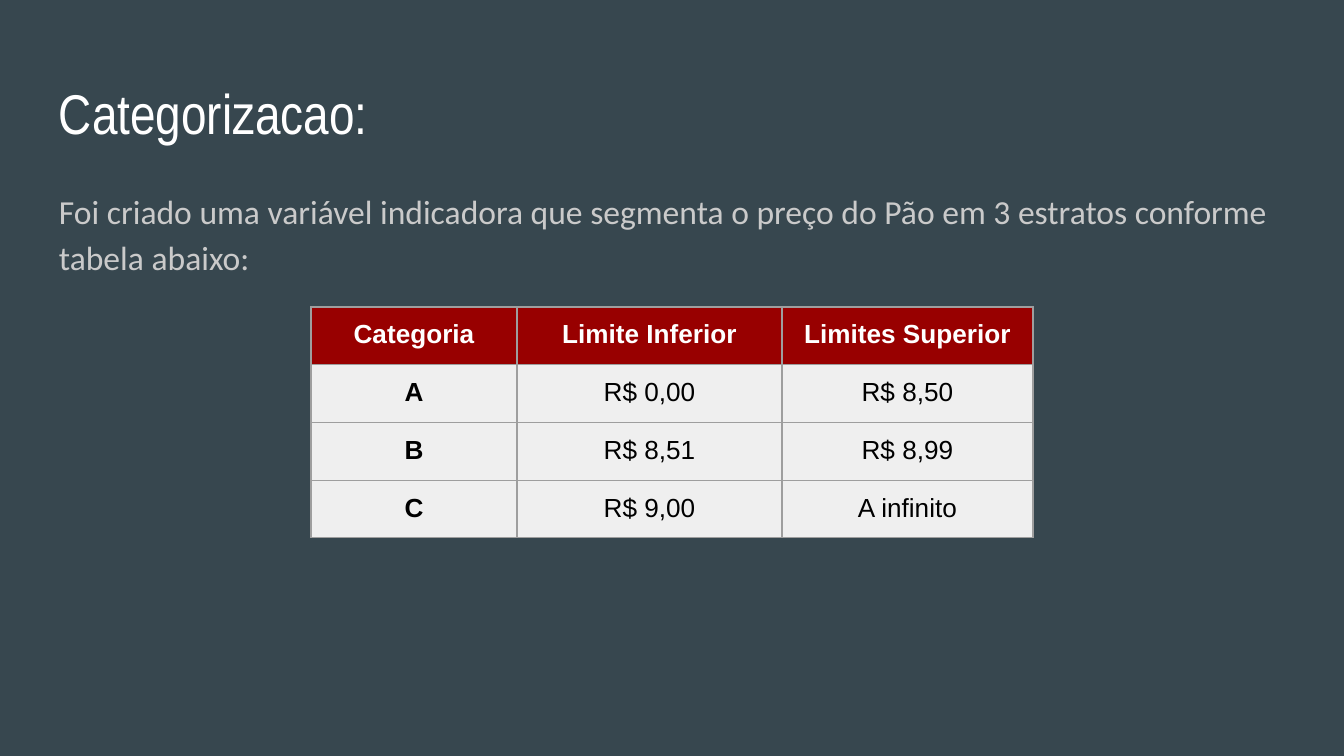
from lxml import etree
from pptx import Presentation
from pptx.dml.color import RGBColor
from pptx.enum.text import MSO_ANCHOR, PP_ALIGN
from pptx.oxml.ns import qn
from pptx.util import Emu, Pt

CENTER = PP_ALIGN.CENTER
TOP = MSO_ANCHOR.TOP

SLATE = RGBColor(0x37, 0x47, 0x4F)
WHITE = RGBColor(0xFF, 0xFF, 0xFF)
BLACK = RGBColor(0, 0, 0)
SILVER = RGBColor(0xCA, 0xCA, 0xCA)
DARK_RED = RGBColor(0x98, 0, 0)
PALE_GRAY = RGBColor(0xEF, 0xEF, 0xEF)
BORDER_GRAY = RGBColor(0x9E, 0x9E, 0x9E)

PX_PER_INCH = 134.4
INSET = 13

HEADINGS = ("Categoria", "Limite Inferior", "Limites Superior")
STRATA = (
    ("A", "R$ 0,00", "R$ 8,50"),
    ("B", "R$ 8,51", "R$ 8,99"),
    ("C", "R$ 9,00", "A infinito"),
)
COLUMN_WIDTHS = (206, 265, 251)
ROW_HEIGHTS = (56, 58, 58, 56)


def px(length):
    """Turn a length in px into EMU."""
    return Emu(round(length * 914400 / PX_PER_INCH))


def set_insets(target):
    """Give a text frame or a cell the same inset on every side."""
    target.margin_left = target.margin_right = px(INSET)
    target.margin_top = target.margin_bottom = px(INSET)


def style_runs(paragraph, font_name, size, color, bold=False):
    """Format all runs of a paragraph."""
    for run in paragraph.runs:
        run.font.name = font_name
        run.font.size = Pt(size)
        run.font.color.rgb = color
        run.font.bold = bold


def add_text(slide, box, text, font_name, size, color, line_spacing=1.0):
    """Place a wrapped, left-aligned paragraph in a box."""
    frame = slide.shapes.add_textbox(*map(px, box)).text_frame
    frame.word_wrap = True
    frame.vertical_anchor = TOP
    set_insets(frame)
    frame.text = text
    paragraph = frame.paragraphs[0]
    paragraph.line_spacing = line_spacing
    style_runs(paragraph, font_name, size, color)


def add_borders(cell):
    """Draw a thin gray line on each side of a cell."""
    properties = cell._tc.get_or_add_tcPr()
    for index, side in enumerate(("a:lnL", "a:lnR", "a:lnT", "a:lnB")):
        line = etree.Element(qn(side), w=str(Pt(0.75)))
        fill = etree.SubElement(line, qn("a:solidFill"))
        etree.SubElement(fill, qn("a:srgbClr"), val=str(BORDER_GRAY))
        properties.insert(index, line)


def fill_cell(cell, text, is_heading, is_bold):
    """Write and style one table cell."""
    set_insets(cell)
    cell.vertical_anchor = TOP
    cell.fill.solid()
    cell.fill.fore_color.rgb = DARK_RED if is_heading else PALE_GRAY
    cell.text_frame.text = text
    paragraph = cell.text_frame.paragraphs[0]
    paragraph.alignment = CENTER
    style_runs(paragraph, "Arial", 14, WHITE if is_heading else BLACK, is_bold)
    add_borders(cell)


def add_strata_table(slide, left, top):
    """Place the table of price strata."""
    contents = (HEADINGS, *STRATA)
    box = (left, top, sum(COLUMN_WIDTHS), sum(ROW_HEIGHTS))
    table = slide.shapes.add_table(
        len(contents), len(HEADINGS), *map(px, box)
    ).table
    for column, width in zip(table.columns, COLUMN_WIDTHS):
        column.width = px(width)
    for row, height in zip(table.rows, ROW_HEIGHTS):
        row.height = px(height)
    for row_index, texts in enumerate(contents):
        is_heading = row_index == 0
        for column_index, text in enumerate(texts):
            is_bold = is_heading or column_index == 0
            fill_cell(table.cell(row_index, column_index), text, is_heading, is_bold)


def build_category_slide(presentation):
    """Build the slide that explains the price categories."""
    slide = presentation.slides.add_slide(presentation.slide_layouts[6])
    slide.background.fill.solid()
    slide.background.fill.fore_color.rgb = SLATE
    add_text(slide, (46, 66, 1252, 85), "Categorizacao:", "Arial Narrow", 30, WHITE)
    add_text(
        slide,
        (46, 172, 1252, 503),
        "Foi criado uma variável indicadora que segmenta o preço do Pão "
        "em 3 estratos conforme tabela abaixo:",
        "Calibri",
        18,
        SILVER,
        1.15,
    )
    add_strata_table(slide, 311, 307)


def main():
    """Create and save the presentation."""
    presentation = Presentation()
    presentation.slide_width = px(1344)
    presentation.slide_height = px(756)
    build_category_slide(presentation)
    presentation.save("out.pptx")


if __name__ == "__main__":
    main()
